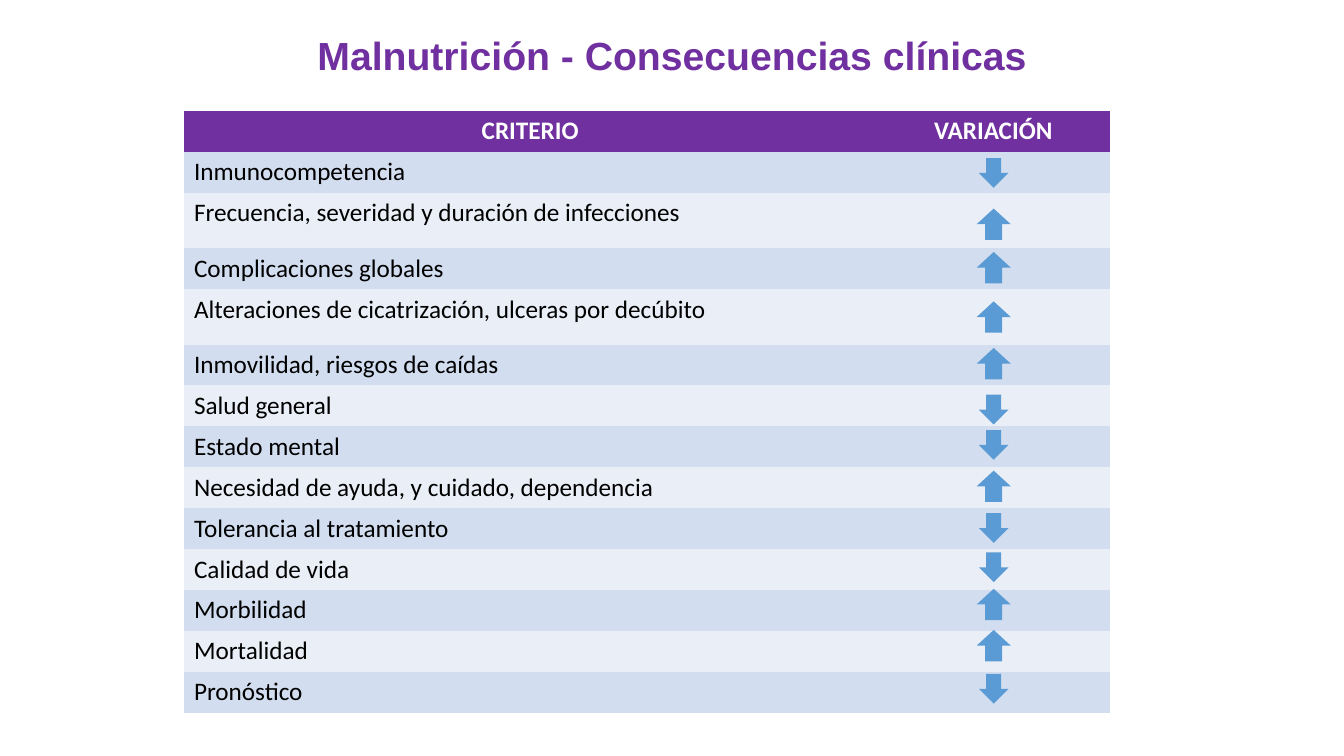
from pptx import Presentation
from pptx.dml.color import RGBColor
from pptx.enum.shapes import MSO_SHAPE as Shape
from pptx.enum.text import MSO_ANCHOR as Anchor, PP_ALIGN as Align
from pptx.util import Pt

PURPLE = RGBColor(0x70, 0x30, 0xA0)
WHITE = RGBColor(0xFF, 0xFF, 0xFF)
BLACK = RGBColor(0x00, 0x00, 0x00)
BLUE = RGBColor(0x5B, 0x9B, 0xD5)
BANDS = (RGBColor(0xD2, 0xDE, 0xEF), RGBColor(0xEA, 0xEF, 0xF7))
PLAIN = "{2D5ABB26-0587-4C30-8999-92F81FD0307C}"  # table style without borders

LOW, TALL = 29.2, 39.7
UP = (Shape.UP_ARROW, 24.4, 22.4)
DOWN = (Shape.DOWN_ARROW, 21.2, 21.2)
MID = 709.8  # centre line of the arrows

# criterion, row height, arrow, arrow top
ROWS = [
    ("Inmunocompetencia", LOW, DOWN, 113),
    ("Frecuencia, severidad y duración de infecciones", TALL, UP, 149),
    ("Complicaciones globales", LOW, UP, 180),
    ("Alteraciones de cicatrización, ulceras por decúbito", TALL, UP, 215.3),
    ("Inmovilidad, riesgos de caídas", LOW, UP, 248.6),
    ("Salud general", LOW, DOWN, 282),
    ("Estado mental", LOW, DOWN, 307.2),
    ("Necesidad de ayuda, y cuidado, dependencia", LOW, UP, 336.2),
    ("Tolerancia al tratamiento", LOW, DOWN, 366.6),
    ("Calidad de vida", LOW, DOWN, 394.6),
    ("Morbilidad", LOW, UP, 420.6),
    ("Mortalidad", LOW, UP, 450),
    ("Pronóstico", LOW, DOWN, 481.4),
]


class Deck:
    def __init__(self):
        self.prs = Presentation()
        self.prs.slide_width, self.prs.slide_height = Pt(960), Pt(540)
        self.slide = self.prs.slides.add_slide(self.prs.slide_layouts[5])
        self.font, self.size = "Calibri", 18

    def label(self, frame, text, color, bold=False, align=Align.LEFT,
              font=None, size=None):
        para = frame.paragraphs[0]
        para.alignment = align
        run = para.add_run()
        run.text = text
        run.font.name = font or self.font
        run.font.size = Pt(size or self.size)
        run.font.bold = bold
        run.font.color.rgb = color
        return para

    def title(self, text):
        box = self.slide.shapes.title
        box.left, box.top, box.width, box.height = Pt(0), Pt(13), Pt(960), Pt(57)
        frame = box.text_frame
        frame.vertical_anchor = Anchor.MIDDLE
        para = self.label(frame, text, PURPLE, True, Align.CENTER, "Arial", 28)
        para.line_spacing = 0.9

    def table(self, heads, rows, left, top, widths):
        highs = [LOW] + [row[1] for row in rows]
        grid = self.slide.shapes.add_table(
            len(highs), len(heads), Pt(left), Pt(top),
            Pt(sum(widths)), Pt(sum(highs))).table
        grid._tbl.tblPr[0].text = PLAIN
        for col, width in zip(grid.columns, widths):
            col.width = Pt(width)
        for line, high in zip(grid.rows, highs):
            line.height = Pt(high)
        for cell, head in zip(grid.rows[0].cells, heads):
            self.fill(cell, PURPLE)
            self.label(cell.text_frame, head, WHITE, True, Align.CENTER)
        for i, row in enumerate(rows):
            cells = grid.rows[i + 1].cells
            for cell in cells:
                self.fill(cell, BANDS[i % 2])
            self.label(cells[0].text_frame, row[0], BLACK)
            cells[1].text_frame.paragraphs[0].font.size = Pt(self.size)

    def fill(self, item, color):
        item.fill.solid()
        item.fill.fore_color.rgb = color

    def arrow(self, kind, top):
        form, width, high = kind
        shape = self.slide.shapes.add_shape(
            form, Pt(MID - width / 2), Pt(top), Pt(width), Pt(high))
        shape.shadow.inherit = False
        self.fill(shape, BLUE)
        shape.line.fill.background()


def main():
    deck = Deck()
    deck.title("Malnutrición - Consecuencias clínicas")
    deck.table(("CRITERIO", "VARIACIÓN"), ROWS, 131.4, 79.2, (494.6, 167))
    for _, _, kind, top in ROWS:
        deck.arrow(kind, top)
    deck.prs.save("out.pptx")


if __name__ == "__main__":
    main()
